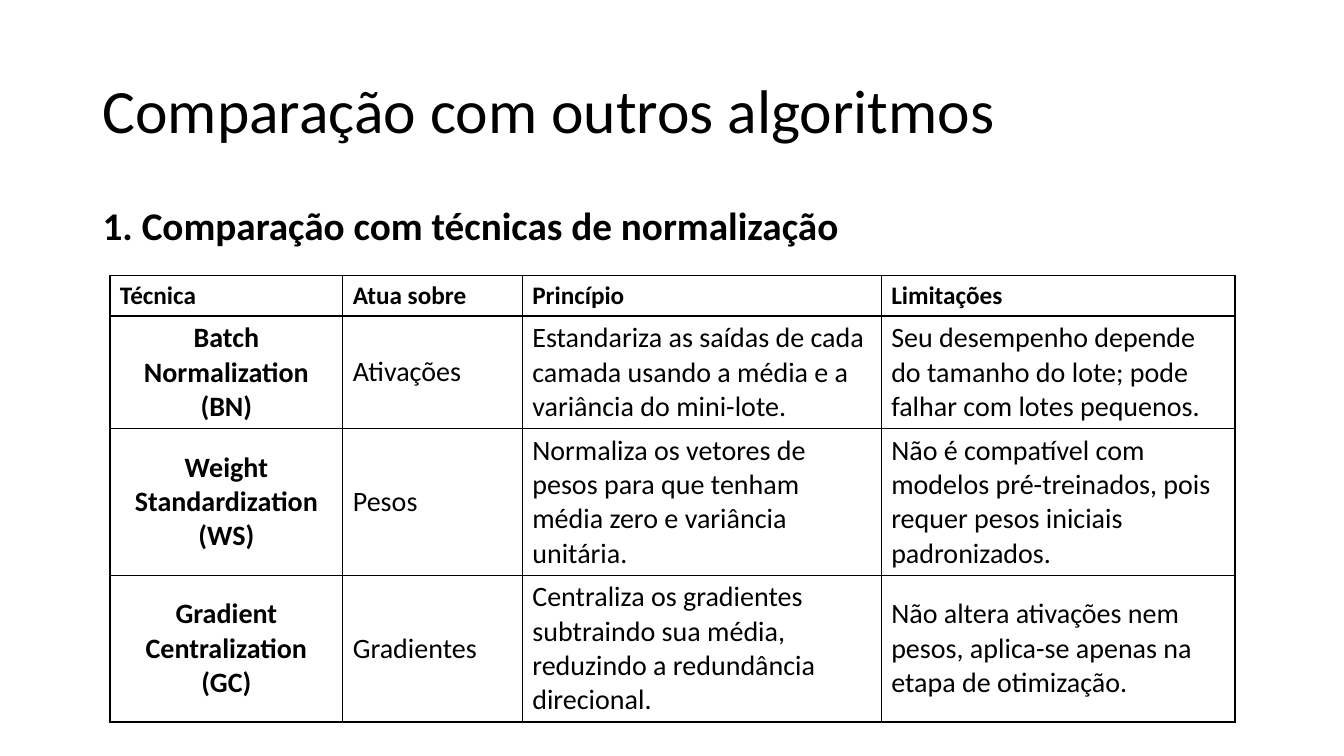
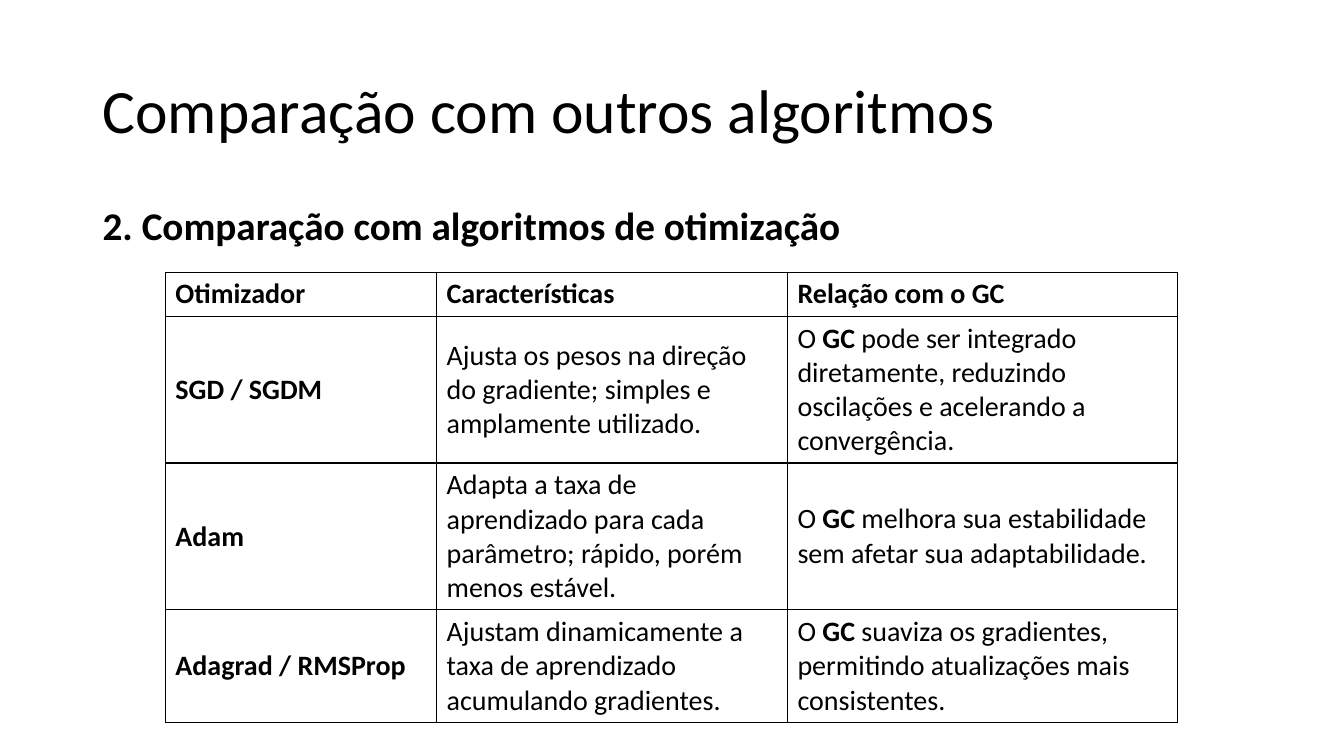
from lxml.etree import SubElement
from pptx import Presentation
from pptx.dml.color import RGBColor
from pptx.enum.text import MSO_ANCHOR as Anchor, PP_ALIGN as Align
from pptx.oxml.ns import qn
from pptx.util import Inches, Pt

WIDTH, HEIGHT = 13.33, 7.5
FONT, INK, PAPER = "Calibri", "000000", "FFFFFF"
TITLE_BOX = (0.92, 0.4, 11.5, 1.45)
HEADING_BOX = (0.92, 2, 11.5, 0.6)
TITLE = "Comparação com outros algoritmos"
BODY_SIZE = 20

NORMALIZATION = {
    "heading": "1. Comparação com técnicas de normalização",
    "box": (1.09, 2.73, 11.16, 4.45),
    "columns": (2.31, 1.78, 3.56, 3.51),
    "line_counts": (1, 3, 4, 4),
    "header_size": 18,
    "label_align": Align.CENTER,
    "rows": [
        ("Técnica", "Atua sobre", "Princípio", "Limitações"),
        ("Batch Normalization (BN)", "Ativações",
         "Estandariza as saídas de cada camada usando a média e a variância do mini-lote.",
         "Seu desempenho depende do tamanho do lote; pode falhar com lotes pequenos."),
        ("Weight Standardization (WS)", "Pesos",
         "Normaliza os vetores de pesos para que tenham média zero e variância unitária.",
         "Não é compatível com modelos pré-treinados, pois requer pesos iniciais padronizados."),
        ("Gradient Centralization (GC)", "Gradientes",
         "Centraliza os gradientes subtraindo sua média, reduzindo a redundância direcional.",
         "Não altera ativações nem pesos, aplica-se apenas na etapa de otimização."),
    ],
}

OPTIMIZATION = {
    "heading": "2. Comparação com algoritmos de otimização",
    "box": (1.64, 2.7, 10.05, 4.48),
    "columns": (2.69, 3.48, 3.87),
    "line_counts": (1, 4, 4, 3),
    "header_size": BODY_SIZE,
    "label_align": Align.LEFT,
    "rows": [
        ("Otimizador", "Características", "Relação com o GC"),
        ("SGD / SGDM",
         "Ajusta os pesos na direção do gradiente; simples e amplamente utilizado.",
         "O **GC** pode ser integrado diretamente, reduzindo oscilações e acelerando a convergência."),
        ("Adam",
         "Adapta a taxa de aprendizado para cada parâmetro; rápido, porém menos estável.",
         "O **GC** melhora sua estabilidade sem afetar sua adaptabilidade."),
        ("Adagrad / RMSProp",
         "Ajustam dinamicamente a taxa de aprendizado acumulando gradientes.",
         "O **GC** suaviza os gradientes, permitindo atualizações mais consistentes."),
    ],
}


def color(value):
    """Turn a hex string into a colour."""
    return RGBColor.from_string(value)


def add_runs(paragraph, text, size, bold=False):
    """Add text run by run; parts between double asterisks are bold."""
    for index, part in enumerate(text.split("**")):
        run = paragraph.add_run()
        run.text = part
        run.font.name, run.font.size = FONT, Pt(size)
        run.font.bold = bold or index % 2 == 1
        run.font.color.rgb = color(INK)


def add_text(slide, box, text, size, bold=False, anchor=Anchor.TOP):
    """Place one wrapped line of heading text in a box."""
    frame = slide.shapes.add_textbox(*map(Inches, box)).text_frame
    frame.word_wrap, frame.vertical_anchor = True, anchor
    paragraph = frame.paragraphs[0]
    paragraph.line_spacing = 0.9
    add_runs(paragraph, text, size, bold)


def add_borders(cell):
    """Draw a thin line on the four sides of a cell."""
    properties = cell._tc.get_or_add_tcPr()
    for position, side in enumerate(("a:lnL", "a:lnR", "a:lnT", "a:lnB")):
        line = SubElement(properties, qn(side), w=str(Pt(1)))
        fill = SubElement(line, qn("a:solidFill"))
        SubElement(fill, qn("a:srgbClr"), val=INK)
        properties.insert(position, line)


def add_comparison_table(slide, box, columns, line_counts, header_size, label_align, rows):
    """Place a ruled table whose row heights follow their line counts."""
    shape = slide.shapes.add_table(len(rows), len(columns), *map(Inches, box))
    table = shape.table
    table.first_row = table.horz_banding = False
    for column, width in zip(table.columns, columns):
        column.width = Inches(width)
    for row_index, (texts, lines) in enumerate(zip(rows, line_counts)):
        is_header = row_index == 0
        size = header_size if is_header else BODY_SIZE
        table.rows[row_index].height = Inches(0.1) + Pt(lines * size * 1.22)
        for column_index, text in enumerate(texts):
            is_label = column_index == 0 and not is_header
            cell = table.cell(row_index, column_index)
            cell.vertical_anchor = Anchor.MIDDLE
            cell.fill.background()
            add_borders(cell)
            paragraph = cell.text_frame.paragraphs[0]
            paragraph.alignment = label_align if is_label else Align.LEFT
            add_runs(paragraph, text, size, is_header or is_label)


def add_comparison_slide(presentation, heading, **table):
    """Build a slide with the shared title, a heading and a table."""
    slide = presentation.slides.add_slide(presentation.slide_layouts[6])
    background = slide.background.fill
    background.solid()
    background.fore_color.rgb = color(PAPER)
    add_text(slide, TITLE_BOX, TITLE, 44, anchor=Anchor.MIDDLE)
    add_text(slide, HEADING_BOX, heading, 28, bold=True)
    add_comparison_table(slide, **table)


def main():
    """Build and save the presentation."""
    presentation = Presentation()
    presentation.slide_width, presentation.slide_height = Inches(WIDTH), Inches(HEIGHT)
    for content in (NORMALIZATION, OPTIMIZATION):
        add_comparison_slide(presentation, **content)
    presentation.save("out.pptx")


if __name__ == "__main__":
    main()
